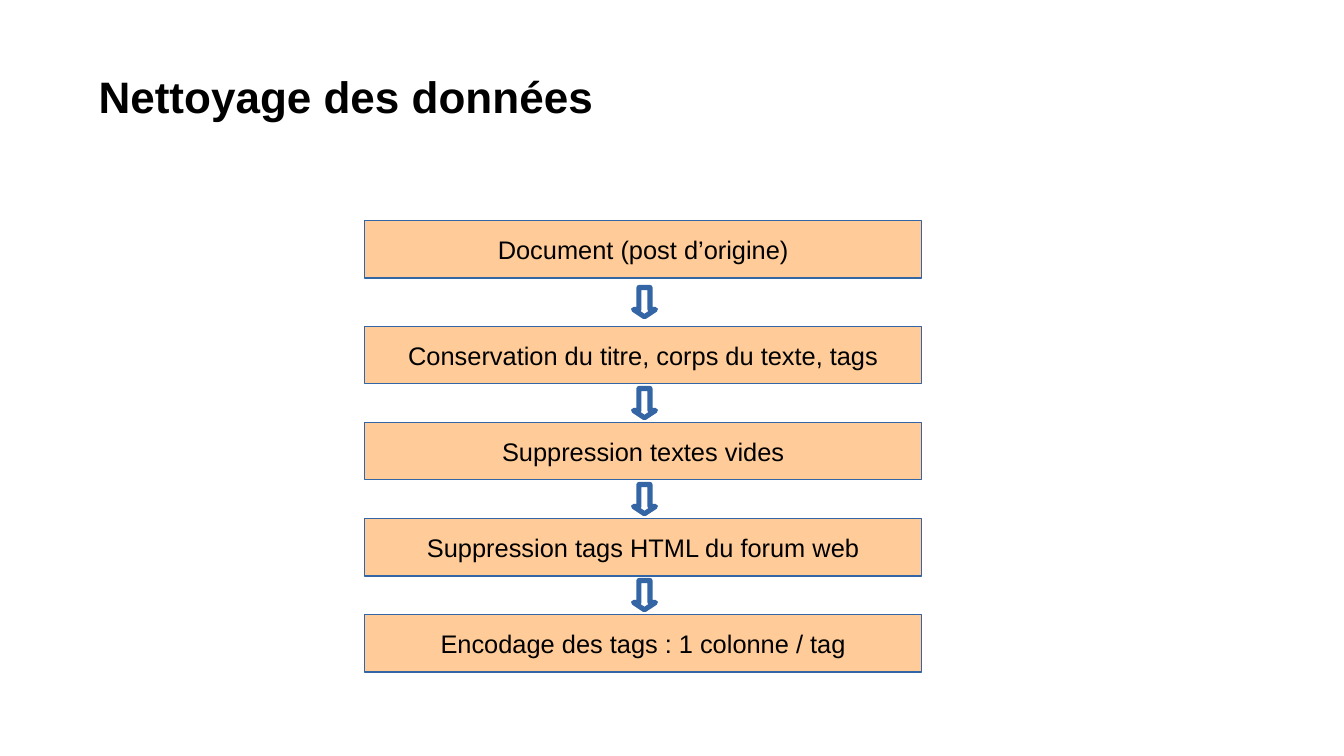
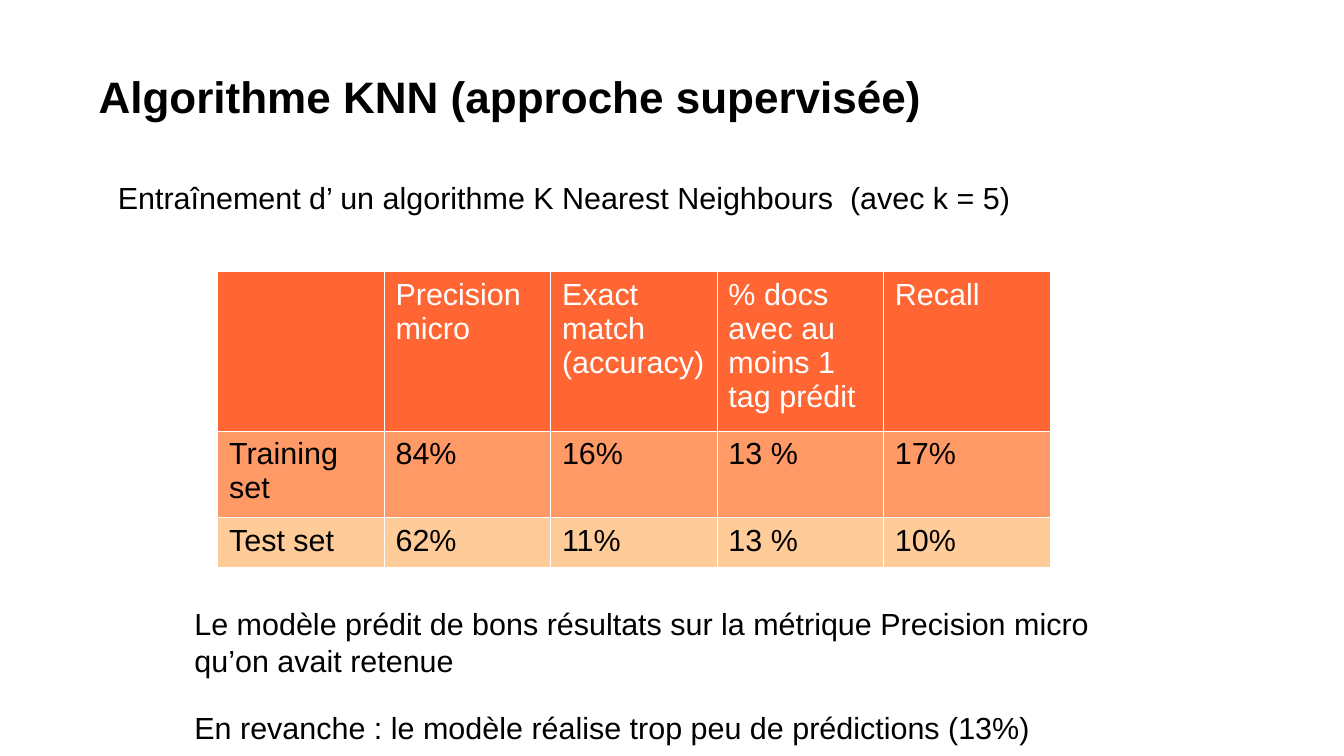
"""Build two slides on data cleaning and a supervised KNN model."""

import dataclasses
import itertools
import typing

import lxml.etree
import pptx
import pptx.dml.color
import pptx.enum.shapes
import pptx.enum.text
import pptx.oxml.ns
import pptx.util

Pt = pptx.util.Pt
Align = pptx.enum.text.PP_ALIGN
Anchor = pptx.enum.text.MSO_ANCHOR
Preset = pptx.enum.shapes.MSO_SHAPE


@dataclasses.dataclass(frozen=True)
class Theme:
    font: str = "Arial"
    ink: str = "000000"
    white: str = "FFFFFF"
    outline: str = "3465A4"
    header: str = "FF6633"
    band: str = "FF9966"
    peach: str = "FFCC99"
    title_size: float = 26
    body_size: float = 18
    step_size: float = 15


@dataclasses.dataclass(frozen=True)
class Box:
    left: float
    top: float
    width: float
    height: float

    def lengths(self) -> tuple[int, ...]:
        return tuple(Pt(value) for value in dataclasses.astuple(self))

    @property
    def bottom(self) -> float:
        return self.top + self.height


@dataclasses.dataclass(frozen=True)
class TableRow:
    labels: tuple[str, ...]
    height: float
    fill: str
    ink: str


THEME = Theme()
SLIDE_WIDTH, SLIDE_HEIGHT = 793.5, 446.4
TITLE_BOX = Box(51, 37.5, 640, 36)
INTRO_BOX = Box(62.5, 102.3, 584, 28)
CONCLUSION_BOX = Box(107.7, 354, 572, 90)

STEPS = (
    "Document (post d’origine)",
    "Conservation du titre, corps du texte, tags",
    "Suppression textes vides",
    "Suppression tags HTML du forum web",
    "Encodage des tags : 1 colonne / tag",
)
FIRST_STEP = Box(215.3, 130.2, 329, 34)
SECOND_STEP_TOP = 192.7
STEP_PITCH = 56.7
ARROW_LEFT, ARROW_WIDTH, ARROW_HEIGHT = 374, 13, 17.3

TABLE_LEFT, TABLE_TOP, COLUMN_WIDTH = 128.3, 160.2, 98.3
RESULTS = (
    TableRow(
        ("", "Precision micro", "Exact match (accuracy)",
         "% docs avec au moins 1 tag prédit", "Recall"),
        94.2, THEME.header, THEME.white,
    ),
    TableRow(("Training set", "84%", "16%", "13 %", "17%"), 51.2, THEME.band, THEME.ink),
    TableRow(("Test set", "62%", "11%", "13 %", "10%"), 29.5, THEME.peach, THEME.ink),
)


def color(value: str) -> pptx.dml.color.RGBColor:
    return pptx.dml.color.RGBColor.from_string(value)


def write_text(
    text_frame: typing.Any,
    *texts: str,
    size: float = THEME.body_size,
    ink: str = THEME.ink,
    bold: bool = False,
    align: Align = Align.LEFT,
    anchor: Anchor = Anchor.TOP,
    gap: float = 0,
) -> None:
    text_frame.word_wrap = True
    text_frame.vertical_anchor = anchor
    for index, text in enumerate(texts):
        paragraph = text_frame.add_paragraph() if index else text_frame.paragraphs[0]
        paragraph.alignment = align
        paragraph.space_before = Pt(gap if index else 0)
        paragraph.font.size = Pt(size)
        if text:
            run = paragraph.add_run()
            run.text = text
            run.font.name = THEME.font
            run.font.size = Pt(size)
            run.font.bold = bold
            run.font.color.rgb = color(ink)


def add_titled_slide(presentation: typing.Any, title: str) -> typing.Any:
    slide = presentation.slides.add_slide(presentation.slide_layouts.get_by_name("Title Only"))
    write_text(slide.shapes.title.text_frame, title, size=THEME.title_size, bold=True)
    return slide


def add_text_box(slide: typing.Any, box: Box, *texts: str, gap: float = 0) -> None:
    text_frame = slide.shapes.add_textbox(*box.lengths()).text_frame
    write_text(text_frame, *texts, gap=gap)


def add_outlined_shape(
    slide: typing.Any, preset: Preset, box: Box, fill: str, line_width: float
) -> typing.Any:
    shape = slide.shapes.add_shape(preset, *box.lengths())
    shape.shadow.inherit = False
    shape.fill.solid()
    shape.fill.fore_color.rgb = color(fill)
    shape.line.color.rgb = color(THEME.outline)
    shape.line.width = Pt(line_width)
    return shape


def add_step(slide: typing.Any, box: Box, text: str) -> None:
    shape = add_outlined_shape(slide, Preset.RECTANGLE, box, THEME.peach, 0)
    write_text(shape.text_frame, text, size=THEME.step_size,
               align=Align.CENTER, anchor=Anchor.MIDDLE)


def add_step_arrow(slide: typing.Any, upper: Box, lower: Box) -> None:
    top = (upper.bottom + lower.top - ARROW_HEIGHT) / 2
    box = Box(ARROW_LEFT, top, ARROW_WIDTH, ARROW_HEIGHT)
    arrow = add_outlined_shape(slide, Preset.DOWN_ARROW, box, THEME.white, 3)
    arrow.adjustments[0] = 0.5
    arrow.adjustments[1] = 0.33


def set_cell_borders(cell: typing.Any) -> None:
    qn = pptx.oxml.ns.qn
    properties = cell._tc.get_or_add_tcPr()
    for index, side in enumerate(("a:lnL", "a:lnR", "a:lnT", "a:lnB")):
        line = lxml.etree.Element(qn(side), w=str(Pt(0.06)))
        fill = lxml.etree.SubElement(line, qn("a:solidFill"))
        lxml.etree.SubElement(fill, qn("a:srgbClr"), val=THEME.white)
        properties.insert(index, line)


def add_results_table(slide: typing.Any, rows: tuple[TableRow, ...]) -> None:
    column_count = len(rows[0].labels)
    box = Box(TABLE_LEFT, TABLE_TOP, COLUMN_WIDTH * column_count, sum(row.height for row in rows))
    table = slide.shapes.add_table(len(rows), column_count, *box.lengths()).table
    table.horz_banding = False
    for column in table.columns:
        column.width = Pt(COLUMN_WIDTH)
    for row_index, row in enumerate(rows):
        table.rows[row_index].height = Pt(row.height)
        for column_index, label in enumerate(row.labels):
            cell = table.cell(row_index, column_index)
            cell.margin_left = cell.margin_right = Pt(7)
            cell.fill.solid()
            cell.fill.fore_color.rgb = color(row.fill)
            set_cell_borders(cell)
            write_text(cell.text_frame, label, ink=row.ink)


def build_cleaning_slide(presentation: typing.Any) -> None:
    slide = add_titled_slide(presentation, "Nettoyage des données")
    boxes = [FIRST_STEP] + [
        dataclasses.replace(FIRST_STEP, top=SECOND_STEP_TOP + index * STEP_PITCH)
        for index in range(len(STEPS) - 1)
    ]
    for box, text in zip(boxes, STEPS):
        add_step(slide, box, text)
    for upper, lower in itertools.pairwise(boxes):
        add_step_arrow(slide, upper, lower)


def build_knn_slide(presentation: typing.Any) -> None:
    slide = add_titled_slide(presentation, "Algorithme KNN (approche supervisée)")
    add_text_box(slide, INTRO_BOX,
                 "Entraînement d’ un algorithme K Nearest Neighbours  (avec k = 5)")
    add_results_table(slide, RESULTS)
    add_text_box(
        slide, CONCLUSION_BOX,
        "Le modèle prédit de bons résultats sur la métrique Precision micro qu’on avait retenue",
        "En revanche : le modèle réalise trop peu de prédictions (13%)",
        gap=18,
    )


def main() -> None:
    presentation = pptx.Presentation()
    presentation.slide_width = Pt(SLIDE_WIDTH)
    presentation.slide_height = Pt(SLIDE_HEIGHT)
    title = presentation.slide_layouts.get_by_name("Title Only").placeholders[0]
    title.left, title.top, title.width, title.height = TITLE_BOX.lengths()
    build_cleaning_slide(presentation)
    build_knn_slide(presentation)
    presentation.save("out.pptx")


if __name__ == "__main__":
    main()
